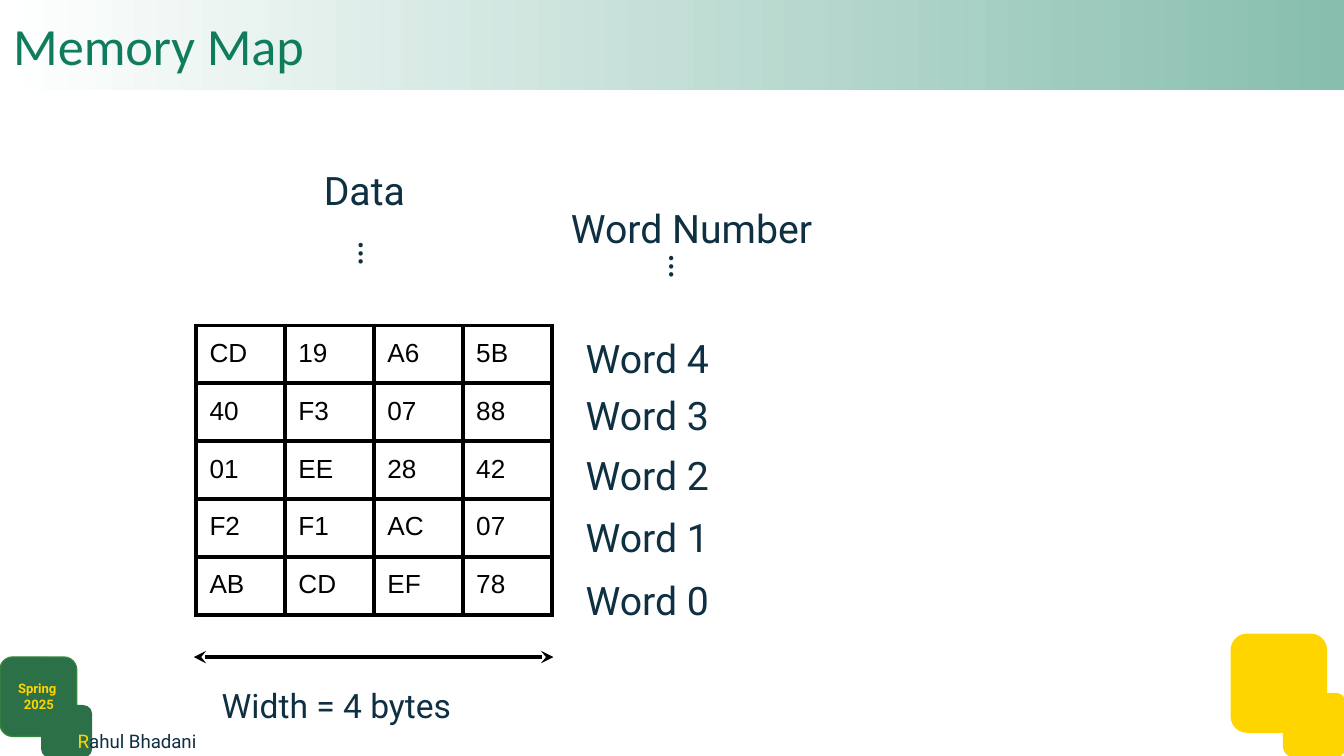
import pptx
import pptx.util
import pptx.dml.color
import pptx.enum.dml
import pptx.enum.shapes
import pptx.enum.text
import lxml.etree

Cm = pptx.util.Cm
Pt = pptx.util.Pt
KIND = pptx.enum.shapes.MSO_SHAPE
ALIGN = pptx.enum.text.PP_ALIGN
ANCHOR = pptx.enum.text.MSO_ANCHOR

COLORS = {
    "gold": "FFD500",
    "green": "2C7048",
    "edge": "34863E",
    "title": "0F7D5D",
    "mint": "87BEAE",
    "navy": "0E3042",
    "black": "000000",
    "white": "FFFFFF",
}
BODY = {"name": "Roboto", "size": Pt(21), "color": "navy"}
INSET = Cm(0.25)
BYTES = [
    "CD 19 A6 5B",
    "40 F3 07 88",
    "01 EE 28 42",
    "F2 F1 AC 07",
    "AB CD EF 78",
]
TOPS = [6.07, 7.14, 8.28, 9.45, 10.64]


def rgb(name):
    return pptx.dml.color.RGBColor.from_string(COLORS[name])


def style(font, look):
    for key, value in look.items():
        if key == "color":
            font.color.rgb = rgb(value)
        else:
            setattr(font, key, value)


def pad(item):
    for side in ("left", "top", "right", "bottom"):
        setattr(item, "margin_" + side, INSET)


def write(frame, lines, look, align=ALIGN.LEFT, anchor=ANCHOR.TOP):
    pad(frame)
    frame.word_wrap = True
    frame.vertical_anchor = anchor
    for i, line in enumerate(lines):
        para = frame.paragraphs[0] if i == 0 else frame.add_paragraph()
        para.alignment = align
        for text, extra in line:
            run = para.add_run()
            run.text = text
            style(run.font, {**look, **extra})


def label(slide, box, text, look=BODY, turn=0):
    item = slide.shapes.add_textbox(*map(Cm, box))
    item.rotation = turn
    write(item.text_frame, [[(text, {})]], look)


def tile(slide, box, fill, line):
    item = slide.shapes.add_shape(KIND.FLOWCHART_ALTERNATE_PROCESS, *map(Cm, box))
    item.shadow.inherit = False
    item.fill.solid()
    item.fill.fore_color.rgb = rgb(fill)
    item.line.color.rgb = rgb(line)
    item.line.width = Pt(0.75)


def header(slide, text):
    bar = slide.shapes.add_shape(KIND.RECTANGLE, 0, 0, Cm(25.4), Cm(1.7))
    bar.shadow.inherit = False
    bar.line.fill.background()
    bar.fill.gradient()
    bar.fill.gradient_angle = 0
    for stop, name in zip(bar.fill.gradient_stops, ("white", "mint")):
        stop.color.rgb = rgb(name)
    look = {"name": "Calibri", "size": Pt(28), "color": "title"}
    write(bar.text_frame, [[(text, {})]], look, anchor=ANCHOR.MIDDLE)


def child(node, tag, **attrs):
    name = pptx.oxml.ns.qn("a:" + tag)
    return lxml.etree.SubElement(node, name, attrs)


def border(cell):
    props = cell._tc.get_or_add_tcPr()
    for i, tag in enumerate(("lnL", "lnR", "lnT", "lnB")):
        line = child(props, tag, w=str(Pt(2.25)))
        child(child(line, "solidFill"), "srgbClr", val=COLORS["black"])
        props.insert(i, line)


def grid(slide, rows):
    cells = [row.split() for row in rows]
    high, wide = len(cells), len(cells[0])
    frame = slide.shapes.add_table(
        high, wide, Cm(3.71), Cm(6.15), Cm(1.68 * wide), Cm(1.06 * high))
    table = frame.table
    table.first_row = table.horz_banding = False
    look = {"name": "Arial", "size": Pt(14), "color": "black"}
    for col in table.columns:
        col.width = Cm(1.68)
    for r, row in enumerate(cells):
        table.rows[r].height = Cm(1.06)
        for c, text in enumerate(row):
            cell = table.cell(r, c)
            pad(cell)
            cell.fill.background()
            border(cell)
            run = cell.text_frame.paragraphs[0].add_run()
            run.text = text
            style(run.font, look)


def arrow(slide, left, right, top):
    link = slide.shapes.add_connector(
        pptx.enum.shapes.MSO_CONNECTOR.STRAIGHT, Cm(left), Cm(top), Cm(right), Cm(top))
    link.line.color.rgb = rgb("black")
    link.line.width = Pt(2.25)
    line = link.line._get_or_add_ln()
    for tag in ("headEnd", "tailEnd"):
        child(line, tag, type="stealth")
    child(link._element.spPr, "effectLst")


def corners(slide):
    tile(slide, (23.27, 11.99, 1.8, 1.85), "gold", "gold")
    tile(slide, (24.26, 13.11, 1.17, 1.19), "gold", "gold")
    tile(slide, (0, 12.42, 1.45, 1.5), "green", "edge")
    tile(slide, (0.79, 13.34, 0.94, 0.97), "green", "green")
    name = slide.shapes.add_textbox(Cm(1.22), Cm(13.59), Cm(3.15), Cm(0.74))
    write(name.text_frame, [[("R", {"color": "gold"}), ("ahul Bhadani", {})]],
          {**BODY, "size": Pt(10)})
    term = slide.shapes.add_textbox(0, Cm(12.62), Cm(1.47), Cm(0.74))
    write(term.text_frame, [[("Spring ", {})], [("2025", {})]],
          {**BODY, "size": Pt(7), "color": "gold", "bold": True}, ALIGN.CENTER)


def main():
    deck = pptx.Presentation()
    deck.slide_width, deck.slide_height = Cm(25.4), Cm(14.29)
    slide = deck.slides.add_slide(deck.slide_layouts[6])
    corners(slide)
    header(slide, "Memory Map")
    grid(slide, BYTES)
    label(slide, (5.87, 2.9, 5.26, 0.94), "Data")
    label(slide, (6.65, 4.45, 1.27, 0.97), "…", turn=90)
    label(slide, (10.54, 3.61, 7.01, 0.94), "Word Number")
    label(slide, (12.52, 4.7, 1.27, 0.97), "…", turn=90)
    for i, top in enumerate(TOPS):
        label(slide, (10.82, top, 5.13, 0.71), f"Word {len(TOPS) - 1 - i}")
    arrow(slide, 3.66, 10.46, 12.42)
    label(slide, (3.94, 12.7, 6.22, 1.17), "Width = 4 bytes", {**BODY, "size": Pt(18)})
    deck.save("out.pptx")


if __name__ == "__main__":
    main()
